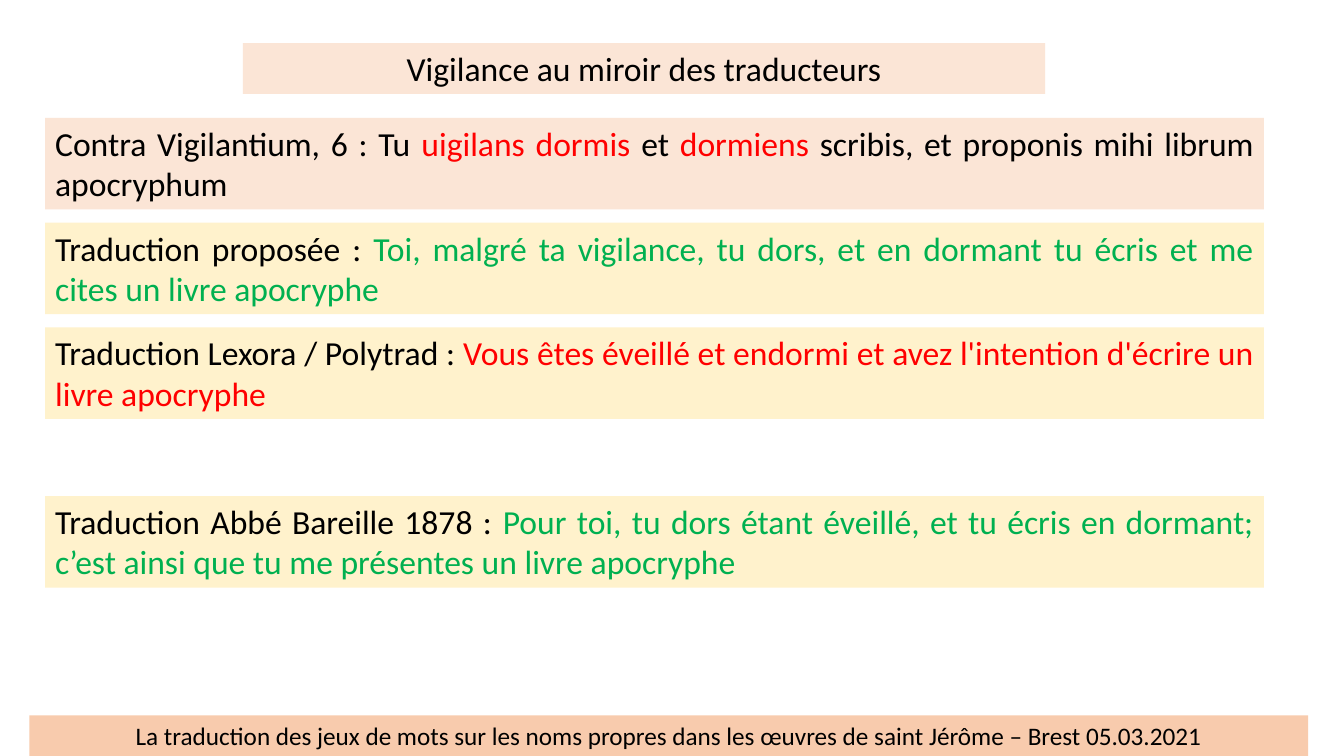
from pptx import Presentation
from pptx.dml.color import RGBColor
from pptx.enum.text import MSO_AUTO_SIZE as AUTO, PP_ALIGN as ALIGN
from pptx.util import Cm, Pt

BLACK = RGBColor(0x00, 0x00, 0x00)
RED = RGBColor(0xFF, 0x00, 0x00)
GREEN = RGBColor(0x00, 0xB0, 0x50)
ORANGE = RGBColor(0xF8, 0xCB, 0xAD)
PEACH = RGBColor(0xFB, 0xE5, 0xD6)
CREAM = RGBColor(0xFF, 0xF2, 0xCC)

prs = Presentation()
prs.slide_width, prs.slide_height = Cm(33.87), Cm(19.05)
s = prs.slides.add_slide(prs.slide_layouts[6])


def add_band(left, top, width, height, fill, align, size, runs):
    sp = s.shapes.add_textbox(Cm(left), Cm(top), Cm(width), Cm(height))
    sp.fill.solid()
    sp.fill.fore_color.rgb = fill
    tf = sp.text_frame
    tf.word_wrap = True
    tf.auto_size = AUTO.SHAPE_TO_FIT_TEXT
    p = tf.paragraphs[0]
    p.alignment = align
    for text, color in runs:
        r = p.add_run()
        r.text = text
        r.font.name = "Calibri"
        r.font.size = Pt(size)
        r.font.color.rgb = color


# Footer and title
add_band(0.74, 18.03, 32.23, 1.02, ORANGE, ALIGN.CENTER, 18, [
    ("La traduction des jeux de mots sur les noms propres dans les œuvres "
     "de saint Jérôme – Brest 05.03.2021", BLACK)])
add_band(6.12, 1.09, 20.22, 1.28, PEACH, ALIGN.CENTER, 24, [
    ("Vigilance au miroir des traducteurs", BLACK)])

# Latin passage and its translations: top, fill, runs
FIRST_TOP, PITCH = 2.97, 2.64
passages = [
    (FIRST_TOP, PEACH, [
        ("Contra Vigilantium, 6 : Tu ", BLACK),
        ("uigilans dormis ", RED),
        ("et ", BLACK),
        ("dormiens ", RED),
        ("scribis, et proponis mihi librum apocryphum", BLACK)]),
    (FIRST_TOP + PITCH, CREAM, [
        ("Traduction proposée : ", BLACK),
        ("Toi, malgré ta vigilance, tu dors, et en dormant tu écris et me "
         "cites un livre apocryphe ", GREEN)]),
    (FIRST_TOP + 2 * PITCH, CREAM, [
        ("Traduction Lexora / Polytrad : ", BLACK),
        ("Vous êtes éveillé et endormi et avez l'intention d'écrire "
         "un livre apocryphe", RED)]),
    (12.5, CREAM, [
        ("Traduction Abbé Bareille 1878 : ", BLACK),
        ("Pour toi, tu dors étant éveillé, et tu écris en dormant; "
         "c’est ainsi que tu me présentes un livre apocryphe", GREEN)]),
]
for top, fill, runs in passages:
    add_band(1.14, top, 30.71, 2.31, fill, ALIGN.JUSTIFY, 24, runs)

prs.save("out.pptx")
